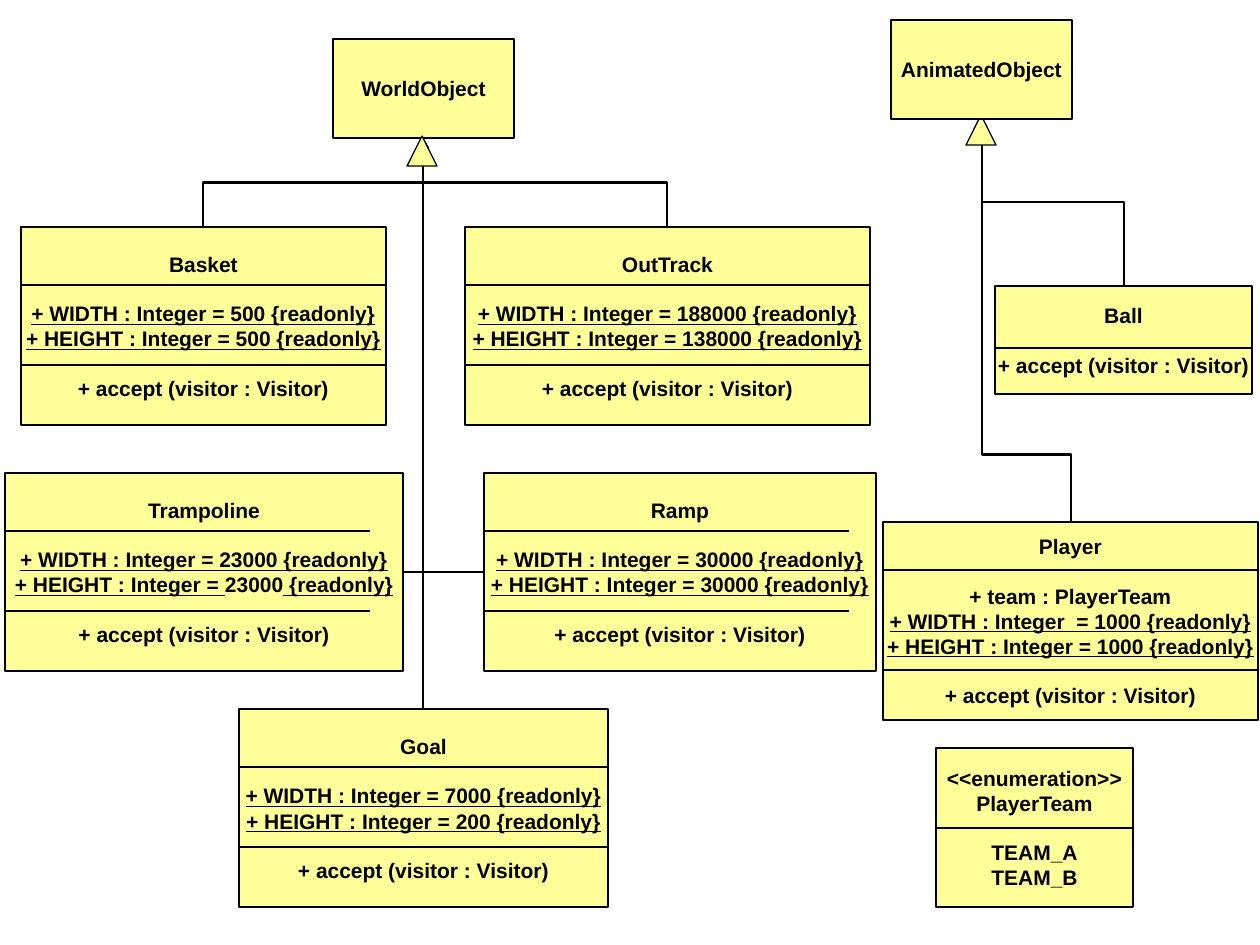
from lxml import etree
from pptx import Presentation
from pptx.dml.color import RGBColor
from pptx.enum.shapes import MSO_CONNECTOR as Connector, MSO_SHAPE as Shape
from pptx.enum.text import MSO_ANCHOR as Anchor, PP_ALIGN as Align
from pptx.oxml.ns import qn
from pptx.util import Emu, Pt

YELLOW = RGBColor(0xFF, 0xFF, 0x99)
BLACK = RGBColor(0x00, 0x00, 0x00)
EMU_PER_PX = 914400 / 126

ACCEPT = ["+ accept (visitor : Visitor)"]


def px(length):
    return Emu(round(length * EMU_PER_PX))


def constants(width, height):
    return [
        [(f"+ WIDTH : Integer = {width} {{readonly}}", True)],
        [(f"+ HEIGHT : Integer = {height} {{readonly}}", True)],
    ]


def add_text(paragraph, text, font="Arial", size=12, bold=True, underline=False, color=BLACK):
    run = paragraph.add_run()
    run.text = text
    run.font.name = font
    run.font.size = Pt(size)
    run.font.bold = bold
    run.font.underline = underline
    run.font.color.rgb = color


class ClassDiagram:
    """Holds the style and the slide of a UML class diagram; lengths are px."""

    thin, thick = Pt(0.75), Pt(1.5)
    section_gap = Pt(13.8)

    def __init__(self, slide):
        self.slide = slide

    def outline(self, shapes, kind, left, top, width, height):
        shape = shapes.add_shape(kind, px(left), px(top), px(width), px(height))
        shape.shadow.inherit = False
        shape.fill.solid()
        shape.fill.fore_color.rgb = YELLOW
        shape.line.color.rgb = BLACK
        shape.line.width = self.thin
        return shape

    def triangle(self, left, top, size=30):
        self.outline(self.slide.shapes, Shape.ISOSCELES_TRIANGLE, left, top, size, size)

    def connector(self, shapes, kind, start, end, weight):
        line = shapes.add_connector(kind, *map(px, start), *map(px, end))
        line.line.color.rgb = BLACK
        line.line.width = weight
        etree.SubElement(line._element.spPr, qn("a:effectLst"))
        return line

    def link(self, kind, start, end):
        """Draw an inheritance line with an open arrowhead at its end."""
        line = self.connector(self.slide.shapes, kind, start, end, self.thick)
        etree.SubElement(line.line._get_or_add_ln(), qn("a:tailEnd"), type="arrow")
        return line

    def trunk(self, start, end):
        self.link(Connector.STRAIGHT, start, end)

    def rising_elbow(self, start, end, bend=0.5):
        """Go up, across at the bend, and up again: an elbow turned by 270 degrees."""
        (x1, y1), (x2, y2) = start, end
        center_x, center_y = (x1 + x2) / 2, (y1 + y2) / 2
        half_length, half_offset = (y1 - y2) / 2, (x2 - x1) / 2
        line = self.link(
            Connector.ELBOW,
            (center_x - half_length, center_y - half_offset),
            (center_x + half_length, center_y + half_offset),
        )
        line.rotation = 270
        values = line._element.spPr.find(qn("a:prstGeom")).get_or_add_avLst()
        etree.SubElement(values, qn("a:gd"), name="adj1", fmla=f"val {round(bend * 100000)}")

    def corner(self, start, end):
        """Go across, then up, with a single bend."""
        line = self.link(Connector.ELBOW, start, end)
        line._element.spPr.find(qn("a:prstGeom")).set("prst", "bentConnector2")

    def class_box(self, left, top, width, height, sections, dividers=(), divider_width=None):
        """Draw a class; a line of a section is a string or a list of (text, underline)."""
        shapes = self.slide.shapes
        if dividers:
            shapes = shapes.add_group_shape().shapes
        box = self.outline(shapes, Shape.RECTANGLE, left, top, width, height)
        frame = box.text_frame
        frame.word_wrap = False
        frame.vertical_anchor = Anchor.MIDDLE
        paragraph = frame.paragraphs[0]
        for section_index, section in enumerate(sections):
            for line_index, line in enumerate(section):
                if section_index or line_index:
                    paragraph = frame.add_paragraph()
                paragraph.alignment = Align.CENTER
                if section_index and not line_index:
                    paragraph.space_before = self.section_gap
                for text, underline in [(line, False)] if isinstance(line, str) else line:
                    add_text(paragraph, text, underline=underline)
        right = left + (divider_width or width)
        for offset in dividers:
            y = top + offset
            self.connector(shapes, Connector.STRAIGHT, (left - 1, y), (right, y), self.thin)


def main():
    presentation = Presentation()
    presentation.slide_width, presentation.slide_height = px(1260), px(945)
    diagram = ClassDiagram(presentation.slides.add_slide(presentation.slide_layouts[6]))

    world, animated = (423, 138), (982, 118)
    diagram.rising_elbow((667, 227), world)
    diagram.rising_elbow((203, 227), world)
    diagram.trunk((423, 709), world)
    diagram.corner((403, 572), world)
    diagram.corner((484, 572), world)
    diagram.rising_elbow((1071, 522), animated, bend=0.167)
    diagram.rising_elbow((1124, 286), animated)
    diagram.triangle(966, 115)

    diagram.class_box(333, 39, 181, 99, [["WorldObject"]])
    diagram.class_box(891, 20, 181, 99, [["AnimatedObject"]])
    diagram.triangle(407, 136)

    trampoline = constants(23000, 23000)
    trampoline[1] = [("+ HEIGHT : Integer = ", True), ("23000", False), (" {readonly}", True)]
    world_classes = [
        ("OutTrack", 465, 227, 405, constants(188000, 138000), None),
        ("Goal", 239, 709, 369, constants(7000, 200), None),
        ("Basket", 21, 227, 365, constants(500, 500), None),
        ("Trampoline", 5, 473, 398, trampoline, 365),
        ("Ramp", 484, 473, 392, constants(30000, 30000), 365),
    ]
    for name, left, top, width, attributes, divider_width in world_classes:
        diagram.class_box(left, top, width, 198, [[name], attributes, ACCEPT],
                          dividers=(58, 138), divider_width=divider_width)

    player = ["+ team : PlayerTeam", *constants(1000, 1000)]
    player[1] = [("+ WIDTH : Integer  = 1000 {readonly}", True)]
    diagram.class_box(883, 522, 375, 198, [["Player"], player, ACCEPT], dividers=(48, 148))
    diagram.class_box(995, 286, 257, 108, [["Ball"], ACCEPT], dividers=(62,))
    diagram.class_box(936, 748, 197, 159,
                      [["<<enumeration>>", "PlayerTeam"], ["TEAM_A", "TEAM_B"]], dividers=(80,))

    presentation.save("out.pptx")


if __name__ == "__main__":
    main()
